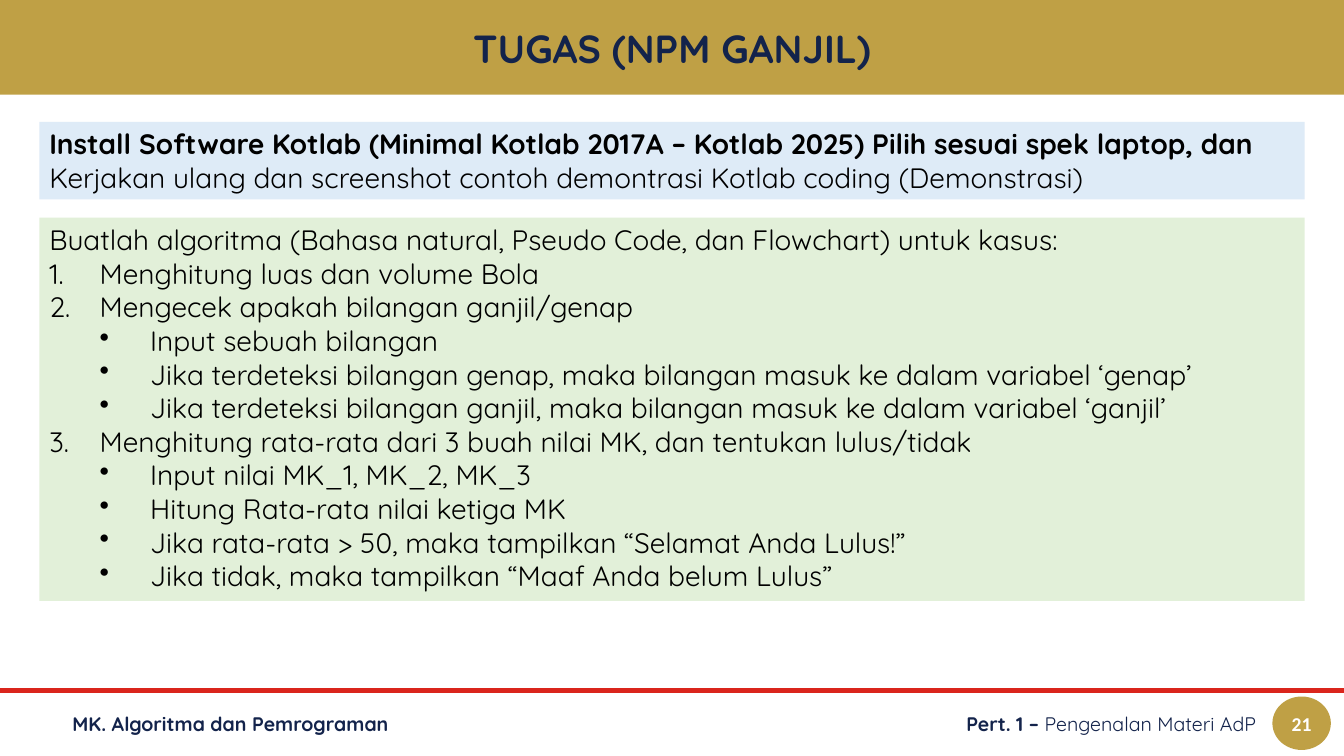
from dataclasses import dataclass

from lxml.etree import SubElement
from pptx import Presentation
from pptx.dml.color import RGBColor
from pptx.enum.shapes import MSO_CONNECTOR, MSO_SHAPE
from pptx.enum.text import MSO_ANCHOR, PP_ALIGN
from pptx.oxml.ns import qn
from pptx.util import Inches, Pt


@dataclass(frozen=True)
class Theme:
    gold: str = "BFA045"
    navy: str = "13234B"
    red: str = "DA251C"
    blue: str = "DEEBF7"
    green: str = "E2F0D9"
    black: str = "000000"
    white: str = "FFFFFF"
    font: str = "Quicksand"
    number_font: str = "Calibri"
    title: int = 28
    body: int = 20
    small: int = 14
    rule: int = 3
    indent: float = 0.5


NUMBER, BULLET = ("buAutoNum", "type", "arabicPeriod"), ("buChar", "char", "•")
MARGIN = 2.93
WIDTH = 100 - 2 * MARGIN
FOOTER_TOP, FOOTER_HEIGHT = 92.13, 7.07

TASKS = [
    ("Menghitung luas dan volume Bola", []),
    ("Mengecek apakah bilangan ganjil/genap", [
        "Input sebuah bilangan",
        "Jika terdeteksi bilangan genap, maka bilangan masuk ke dalam variabel ‘genap’",
        "Jika terdeteksi bilangan ganjil, maka bilangan masuk ke dalam variabel ‘ganjil’",
    ]),
    ("Menghitung rata-rata dari 3 buah nilai MK, dan tentukan lulus/tidak", [
        "Input nilai MK_1, MK_2, MK_3",
        "Hitung Rata-rata nilai ketiga MK",
        "Jika rata-rata > 50, maka tampilkan “Selamat Anda Lulus!”",
        "Jika tidak, maka tampilkan “Maaf Anda belum Lulus”",
    ]),
]


class SlideBuilder:
    """Draws on one slide; positions and sizes are percentages of the slide."""

    def __init__(self, prs, theme):
        self.theme = theme
        self.w, self.h = prs.slide_width, prs.slide_height
        self.s = prs.slides.add_slide(prs.slide_layouts[6])

    def place(self, x, y, w, h):
        return (round(self.w * x / 100), round(self.h * y / 100),
                round(self.w * w / 100), round(self.h * h / 100))

    def shape(self, box, fill, kind=MSO_SHAPE.RECTANGLE):
        sp = self.s.shapes.add_shape(kind, *self.place(*box))
        sp.shadow.inherit = False
        sp.fill.solid()
        sp.fill.fore_color.rgb = RGBColor.from_string(fill)
        sp.line.fill.background()
        return sp

    def rule(self, y):
        x, top, w, _ = self.place(0, y, 100, 0)
        line = self.s.shapes.add_connector(MSO_CONNECTOR.STRAIGHT, x, top, x + w, top)
        line.line.color.rgb = RGBColor.from_string(self.theme.red)
        line.line.width = Pt(self.theme.rule)
        SubElement(line._element.spPr, qn("a:effectLst"))

    def frame(self, sp, **style):
        for name, value in {"word_wrap": True, **style}.items():
            setattr(sp.text_frame, name, value)
        return sp.text_frame

    def paragraph(self, p, runs, size, color, align=PP_ALIGN.LEFT, font=None):
        """Write (text, bold) runs in one format."""
        p.alignment = align
        for text, bold in runs:
            r = p.add_run()
            r.text = text
            style = {"name": font or self.theme.font, "size": Pt(size), "bold": bold}
            for name, value in style.items():
                setattr(r.font, name, value)
            r.font.color.rgb = RGBColor.from_string(color)

    def label(self, box, runs, size, align=PP_ALIGN.LEFT):
        sp = self.s.shapes.add_textbox(*self.place(*box))
        sides = ("left", "top", "right", "bottom")
        insets = {f"margin_{side}": Inches(0.1) for side in sides}
        tf = self.frame(sp, vertical_anchor=MSO_ANCHOR.MIDDLE, **insets)
        self.paragraph(tf.paragraphs[0], runs, size, self.theme.navy, align)

    def panel(self, y, h, fill, runs):
        sp = self.shape((MARGIN, y, WIDTH, h), fill)
        tf = self.frame(sp, vertical_anchor=MSO_ANCHOR.TOP)
        self.paragraph(tf.paragraphs[0], runs, self.theme.body, self.theme.black)
        return tf

    def list_item(self, tf, text, level, marker):
        p = tf.add_paragraph()
        p.level = level
        pPr = p._p.get_or_add_pPr()
        pPr.set("marL", str(Inches(self.theme.indent * (level + 1))))
        pPr.set("indent", str(-Inches(self.theme.indent)))
        tag, key, value = marker
        SubElement(pPr, qn(f"a:{tag}")).set(key, value)
        self.paragraph(p, [(text, False)], self.theme.body, self.theme.black)

    def badge(self, box, text):
        sp = self.shape(box, self.theme.gold, MSO_SHAPE.OVAL)
        tf = self.frame(sp, word_wrap=False, vertical_anchor=MSO_ANCHOR.MIDDLE)
        self.paragraph(tf.paragraphs[0], [(text, True)], self.theme.small,
                       self.theme.white, PP_ALIGN.CENTER, self.theme.number_font)


def main():
    prs = Presentation()
    prs.slide_width, prs.slide_height = Inches(13.33), Inches(7.5)
    theme = Theme()
    b = SlideBuilder(prs, theme)

    b.shape((0, 0, 100, 12.53), theme.gold)
    b.rule(91.33)
    b.label((4.65, FOOTER_TOP, 39.68, FOOTER_HEIGHT),
            [("MK. Algoritma dan Pemrograman", True)], theme.small)
    b.label((48.84, FOOTER_TOP, 45.39, FOOTER_HEIGHT),
            [("Pert. 1 – ", True), ("Pengenalan Materi AdP", False)],
            theme.small, PP_ALIGN.RIGHT)
    b.label((MARGIN, 2.8, WIDTH, FOOTER_HEIGHT),
            [("TUGAS (NPM GANJIL)", True)], theme.title, PP_ALIGN.CENTER)
    b.panel(16.13, 10.27, theme.blue, [
        ("Install Software Kotlab (Minimal Kotlab 2017A – Kotlab 2025) "
         "Pilih sesuai spek laptop, dan ", True),
        ("Kerjakan ulang dan screenshot contoh demontrasi Kotlab coding "
         "(Demonstrasi)", False),
    ])
    b.badge((94.67, FOOTER_TOP, 4.35, FOOTER_HEIGHT), "21")

    tf = b.panel(28.8, 50.67, theme.green, [
        ("Buatlah algoritma (Bahasa natural, Pseudo Code, dan Flowchart) "
         "untuk kasus:", False)])
    for task, steps in TASKS:
        b.list_item(tf, task, 0, NUMBER)
        for step in steps:
            b.list_item(tf, step, 1, BULLET)

    prs.save("out.pptx")


if __name__ == "__main__":
    main()
